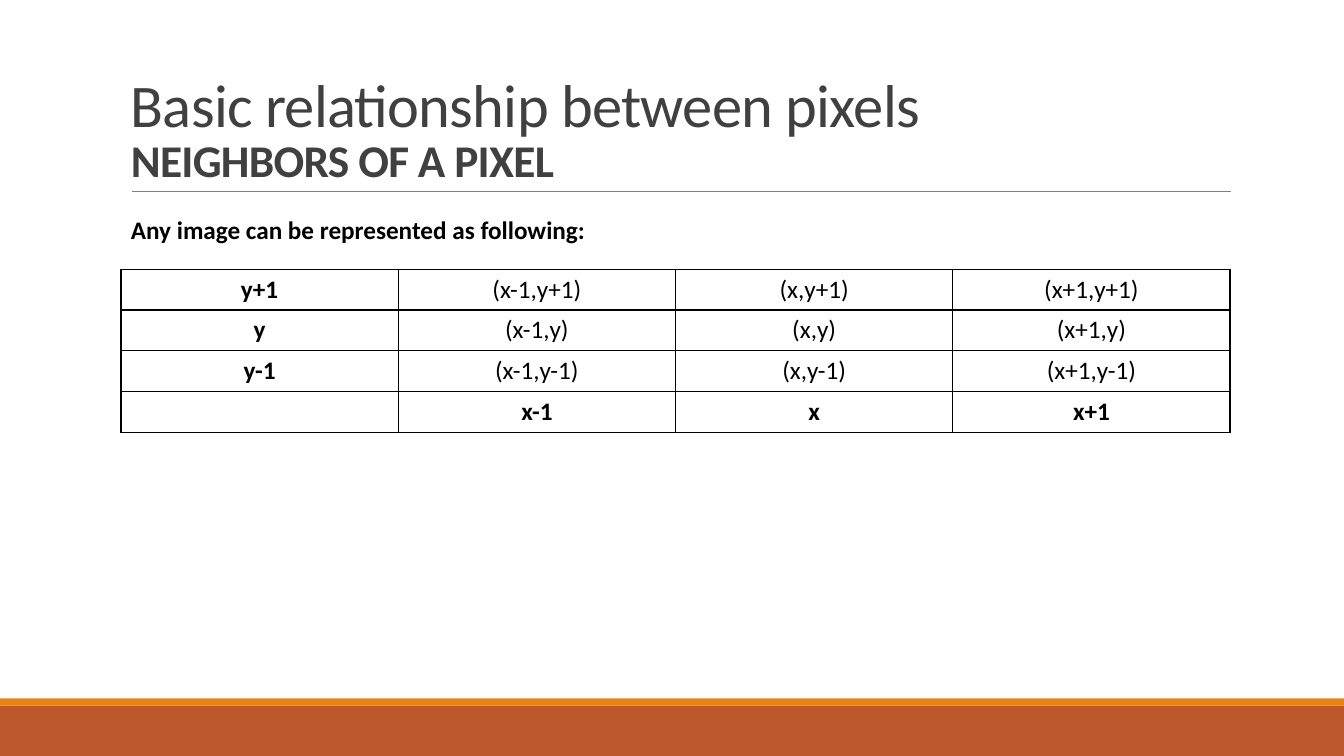
from dataclasses import dataclass

from lxml.etree import SubElement
from pptx import Presentation
from pptx.dml.color import RGBColor
from pptx.enum.shapes import MSO_CONNECTOR, MSO_SHAPE
from pptx.enum.text import MSO_ANCHOR, MSO_AUTO_SIZE, PP_ALIGN
from pptx.oxml import parse_xml
from pptx.oxml.ns import nsdecls, qn
from pptx.util import Inches, Pt


@dataclass(frozen=True)
class Theme:
    font: str = "Calibri"
    title_color: str = "404040"
    text_color: str = "000000"
    paper: str = "FFFFFF"
    rule: str = "808080"
    band: str = "BD582C"
    stripe: str = "E48312"
    title_size: float = 43.2
    subtitle_size: float = 32.4
    body_size: float = 18
    rule_width: float = 0.5
    border_width: float = 1


THEME = Theme()
WIDTH, HEIGHT = 13.33, 7.5

X_STEPS = ["-1", "", "+1"]
Y_STEPS = ["+1", "", "-1"]


def color(value):
    return RGBColor.from_string(value)


def add_span(para, text, size, ink, bold=False):
    span = para.add_run()
    span.text = text
    font = span.font
    font.name, font.size, font.bold = THEME.font, Pt(size), bold
    font.color.rgb = color(ink)
    return span


def add_bar(page, top, height, fill):
    """Add a full-width footer bar."""
    bar = page.shapes.add_shape(
        MSO_SHAPE.RECTANGLE, 0, Inches(top), Inches(WIDTH), Inches(height))
    bar.shadow.inherit = False
    bar.fill.solid()
    bar.fill.fore_color.rgb = color(fill)
    bar.line.fill.background()


def add_rule(page, left, right, top):
    rule = page.shapes.add_connector(
        MSO_CONNECTOR.STRAIGHT, Inches(left), Inches(top), Inches(right), Inches(top))
    rule.line.color.rgb = color(THEME.rule)
    rule.line.width = Pt(THEME.rule_width)
    SubElement(rule._element.spPr, qn("a:effectLst"))


def add_title(page, heading, subheading):
    box = page.shapes.add_textbox(Inches(1.2), Inches(0.31), Inches(11), Inches(1.59))
    frame = box.text_frame
    frame.word_wrap = True
    frame.vertical_anchor = MSO_ANCHOR.BOTTOM
    para = frame.paragraphs[0]
    para.line_spacing = 0.85
    first = add_span(para, heading, THEME.title_size, THEME.title_color)
    para.add_line_break()
    second = add_span(para, subheading, THEME.subtitle_size, THEME.title_color, bold=True)
    for span in (first, second):
        span._r.get_or_add_rPr().set("spc", "-50")


def add_caption(page, text):
    box = page.shapes.add_textbox(Inches(1.2), Inches(2.08), Inches(4.74), Inches(0.4))
    frame = box.text_frame
    frame.word_wrap = False
    frame.auto_size = MSO_AUTO_SIZE.SHAPE_TO_FIT_TEXT
    add_span(frame.paragraphs[0], text, THEME.body_size, THEME.text_color, bold=True)


def add_borders(cell):
    properties = cell._tc.get_or_add_tcPr()
    for index, side in enumerate(("lnL", "lnR", "lnT", "lnB")):
        properties.insert(index, parse_xml(
            f'<a:{side} {nsdecls("a")} w="{Pt(THEME.border_width)}"><a:solidFill>'
            f'<a:srgbClr val="{THEME.text_color}"/></a:solidFill></a:{side}>'))


def neighbor_rows():
    """Return the coordinate grid with y labels at left and x labels below."""
    rows = [[f"y{dy}"] + [f"(x{dx},y{dy})" for dx in X_STEPS] for dy in Y_STEPS]
    return rows + [[""] + [f"x{dx}" for dx in X_STEPS]]


def add_neighbor_table(page, rows):
    column_count, row_height = len(rows[0]), 0.405
    table = page.shapes.add_table(
        len(rows), column_count, Inches(1.2), Inches(2.67),
        Inches(11), Inches(row_height * len(rows))).table
    table.first_row = table.horz_banding = False
    for r, row in enumerate(rows):
        for c, text in enumerate(row):
            cell = table.cell(r, c)
            cell.fill.solid()
            cell.fill.fore_color.rgb = color(THEME.paper)
            add_borders(cell)
            para = cell.text_frame.paragraphs[0]
            para.alignment = PP_ALIGN.CENTER
            if text:
                is_label = c == 0 or r == len(rows) - 1
                add_span(para, text, THEME.body_size, THEME.text_color, bold=is_label)


def main():
    deck = Presentation()
    deck.slide_width, deck.slide_height = Inches(WIDTH), Inches(HEIGHT)
    page = deck.slides.add_slide(deck.slide_layouts[6])
    add_bar(page, 7, 0.5, THEME.band)
    add_bar(page, 6.93, 0.07, THEME.stripe)
    add_rule(page, 1.31, 12.21, 1.9)
    add_title(page, "Basic relationship between pixels", "NEIGHBORS OF A PIXEL")
    add_neighbor_table(page, neighbor_rows())
    add_caption(page, "Any image can be represented as following:")
    deck.save("out.pptx")


if __name__ == "__main__":
    main()
